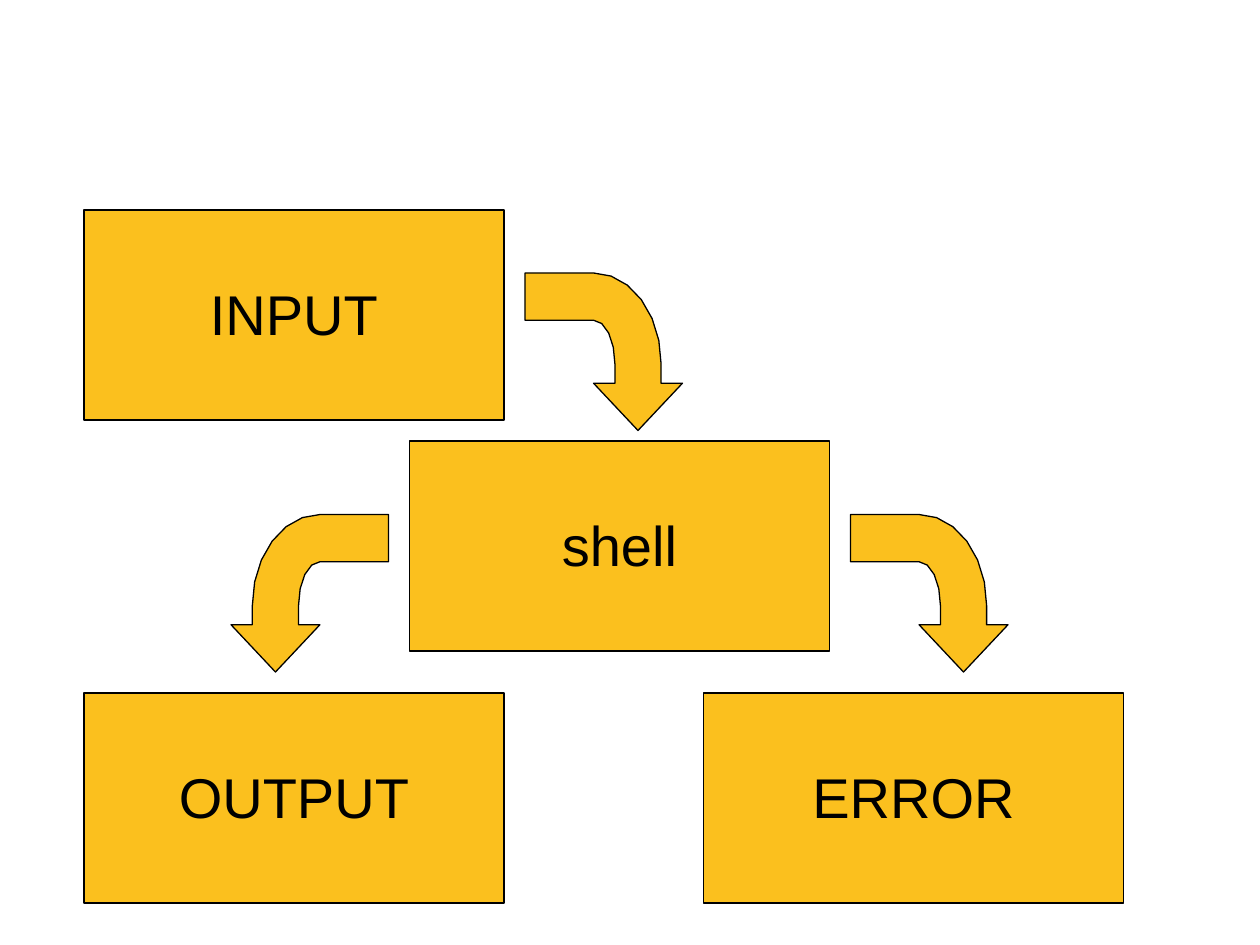
"""Flow of a shell: input goes in, output and error come out."""
from dataclasses import dataclass
from math import cos, pi, sin

from pptx import Presentation
from pptx.dml.color import RGBColor
from pptx.enum.shapes import MSO_SHAPE
from pptx.enum.text import PP_ALIGN
from pptx.util import Pt

COLORS = {"amber": "FBC01E", "black": "000000"}
BOX_WIDTH, BOX_HEIGHT = 240, 120
LABEL_OFFSET, LABEL_HEIGHT = 36, 45
ARROW_SIZE = 90


@dataclass
class Stage:
    """A labelled box with its corner in points."""
    label: str
    left: float
    top: float


@dataclass
class Turn:
    """A bent arrow with its corner in points."""
    left: float
    top: float
    mirrored: bool = False


STAGES = [
    Stage("INPUT", 48, 120),
    Stage("shell", 234, 252),
    Stage("OUTPUT", 48, 396),
    Stage("ERROR", 402, 396),
]
TURNS = [Turn(300, 156), Turn(486, 294), Turn(132, 294, mirrored=True)]


def paint(shape) -> None:
    """Give a shape the amber fill and thin black outline."""
    shape.shadow.inherit = False
    shape.fill.solid()
    shape.fill.fore_color.rgb = RGBColor.from_string(COLORS["amber"])
    shape.line.color.rgb = RGBColor.from_string(COLORS["black"])
    shape.line.width = Pt(0.75)


def write(box, text: str, *, size: float = 32, font: str = "Arial",
          color: str = "black", align=PP_ALIGN.CENTER) -> None:
    """Write one formatted paragraph into a text box."""
    frame = box.text_frame
    frame.word_wrap = True
    para = frame.paragraphs[0]
    para.alignment = align
    span = para.add_run()
    span.text = text
    span.font.size = Pt(size)
    span.font.name = font
    span.font.color.rgb = RGBColor.from_string(COLORS[color])


def draw_stage(slide, stage: Stage) -> None:
    """Draw a box and its label as one group."""
    group = slide.shapes.add_group_shape()
    box = group.shapes.add_shape(
        MSO_SHAPE.RECTANGLE, Pt(stage.left), Pt(stage.top), Pt(BOX_WIDTH), Pt(BOX_HEIGHT))
    paint(box)
    label = group.shapes.add_textbox(
        Pt(stage.left), Pt(stage.top + LABEL_OFFSET), Pt(BOX_WIDTH), Pt(LABEL_HEIGHT))
    write(label, stage.label)


def bend(radius_x: float, radius_y: float, steps: int) -> list[tuple[float, float]]:
    """Return a quarter ellipse from the shaft up to the tail."""
    angles = [pi / 2 * step / steps for step in range(steps + 1)]
    return [(39.2 + radius_x * cos(angle), 52 - radius_y * sin(angle)) for angle in angles]


def draw_turn(slide, turn: Turn) -> None:
    """Draw an arrow that leaves sideways and points down."""
    outline = [
        (64.6, ARROW_SIZE), (ARROW_SIZE, 63), (77.8, 63), *bend(38.6, 52, 6),
        (0, 0), (0, 27), *reversed(bend(12.2, 25, 4)), (51.4, 63), (39.2, 63),
    ]
    points = [
        (Pt(turn.left + (ARROW_SIZE - x if turn.mirrored else x)), Pt(turn.top + y))
        for x, y in outline
    ]
    builder = slide.shapes.build_freeform(*points[0])
    builder.add_line_segments(points[1:], close=True)
    paint(builder.convert_to_shape())


def main() -> None:
    """Build the deck and save it."""
    deck = Presentation()
    deck.slide_width, deck.slide_height = Pt(720), Pt(540)
    slide = deck.slides.add_slide(deck.slide_layouts[6])
    for stage in STAGES:
        draw_stage(slide, stage)
    for turn in TURNS:
        draw_turn(slide, turn)
    deck.save("out.pptx")


if __name__ == "__main__":
    main()
